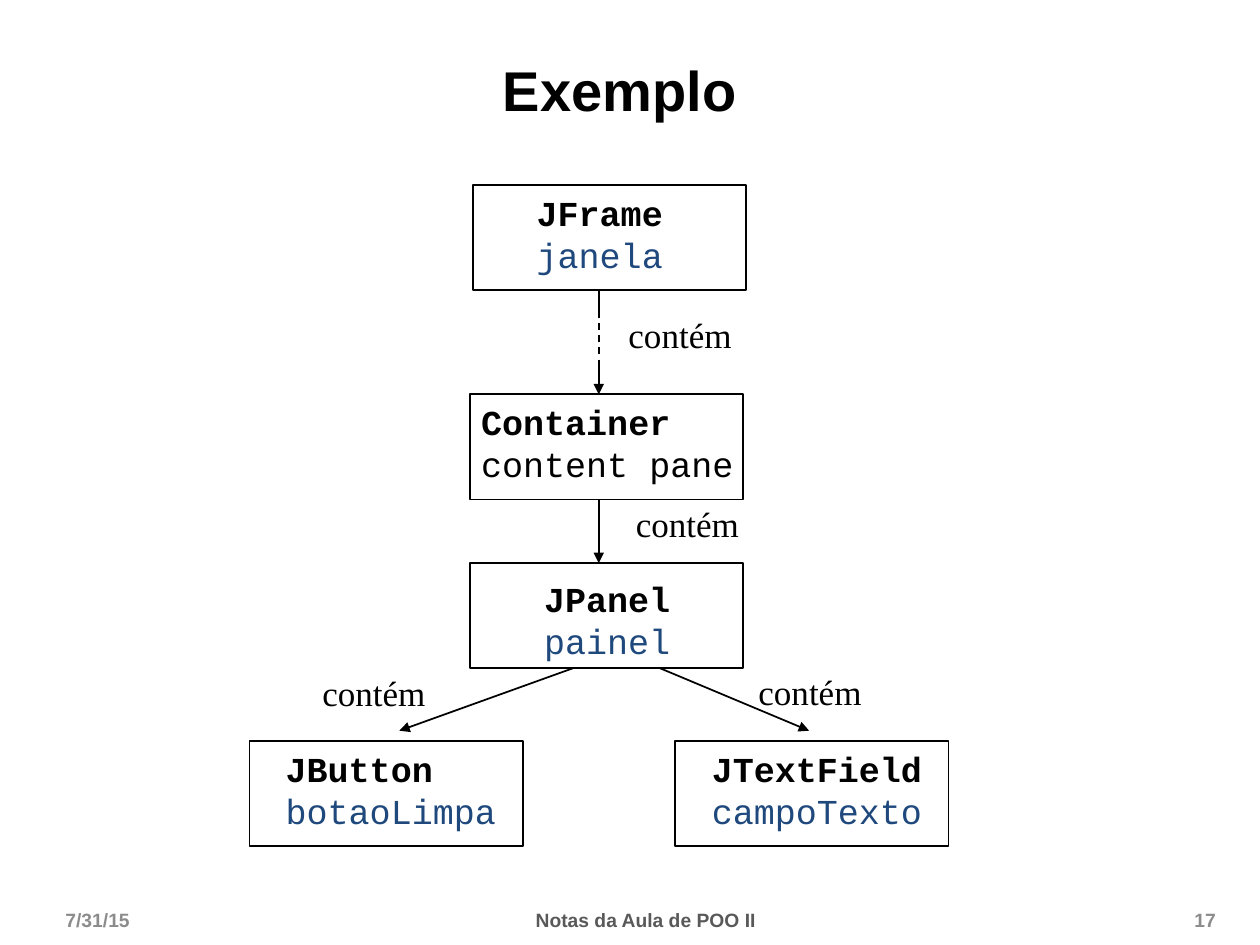
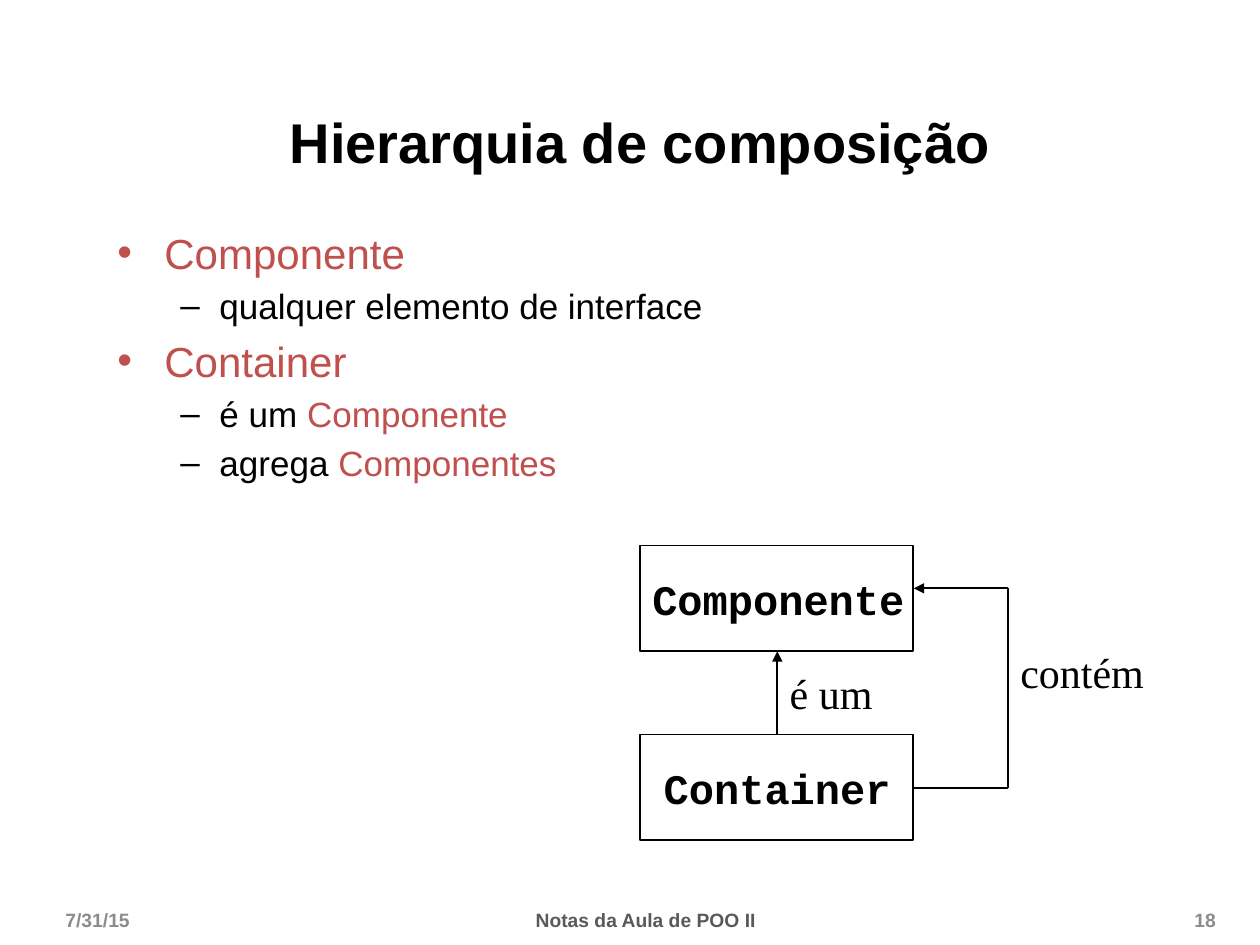
from typing import NamedTuple

from pptx import Presentation
from pptx.dml.color import RGBColor
from pptx.enum.dml import MSO_LINE
from pptx.enum.shapes import MSO_CONNECTOR, MSO_SHAPE
from pptx.enum.text import MSO_ANCHOR, MSO_AUTO_SIZE, PP_ALIGN
from pptx.oxml.ns import qn
from pptx.slide import Slide
from pptx.text.text import TextFrame, _Paragraph
from pptx.util import Cm, Pt
from lxml.etree import SubElement

BLACK = RGBColor(0x00, 0x00, 0x00)
BLUE = RGBColor(0x1F, 0x49, 0x7D)
RED = RGBColor(0xC0, 0x50, 0x4D)
LIGHT_GREY = RGBColor(0x8C, 0x8C, 0x8C)
DARK_GREY = RGBColor(0x59, 0x59, 0x59)

SANS, MONO, SERIF = "Arial", "Courier New", "Times New Roman"
BOX_WIDTH, BOX_HEIGHT = 5.51, 2.12
TITLE_ONLY, TITLE_AND_BODY = 5, 1


class Run(NamedTuple):
    text: str
    size: float
    font: str = SANS
    color: RGBColor = BLACK
    bold: bool = False


class Area(NamedTuple):
    """Left, top, width and height in centimetres."""
    left: float
    top: float
    width: float
    height: float


class ClassBox(NamedTuple):
    left: float
    top: float
    text_area: Area
    lines: list[Run]


class Arrow(NamedTuple):
    start: tuple[float, float]
    end: tuple[float, float]
    pointed: bool = True
    dashed: bool = False


class Label(NamedTuple):
    area: Area
    run: Run


class Bullet(NamedTuple):
    level: int
    runs: list[Run]


class BulletStyle(NamedTuple):
    mark: str
    margin: float
    hanging: float
    space_before: float


BULLET_STYLES = [BulletStyle("•", 0.95, 0.95, 5), BulletStyle("–", 2.06, 0.79, 4)]


def add_run(paragraph: _Paragraph, run: Run) -> None:
    added = paragraph.add_run()
    added.text = run.text
    added.font.size = Pt(run.size)
    added.font.name = run.font
    added.font.bold = run.bold
    added.font.color.rgb = run.color


def paragraph_at(frame: TextFrame, index: int) -> _Paragraph:
    return frame.paragraphs[0] if index == 0 else frame.add_paragraph()


def add_text(slide: Slide, area: Area, lines: list[Run]) -> TextFrame:
    frame = slide.shapes.add_textbox(*map(Cm, area)).text_frame
    for index, line in enumerate(lines):
        add_run(paragraph_at(frame, index), line)
    return frame


def add_fitted_text(slide: Slide, area: Area, lines: list[Run]) -> None:
    frame = add_text(slide, area, lines)
    frame.word_wrap = False
    frame.auto_size = MSO_AUTO_SIZE.SHAPE_TO_FIT_TEXT


def add_class_box(slide: Slide, box: ClassBox) -> None:
    outline = slide.shapes.add_shape(
        MSO_SHAPE.RECTANGLE, Cm(box.left), Cm(box.top), Cm(BOX_WIDTH), Cm(BOX_HEIGHT))
    outline.shadow.inherit = False
    outline.fill.background()
    outline.line.color.rgb = BLACK
    outline.line.width = Pt(1)
    add_fitted_text(slide, box.text_area, box.lines)


def add_arrow(slide: Slide, arrow: Arrow) -> None:
    connector = slide.shapes.add_connector(
        MSO_CONNECTOR.STRAIGHT, *map(Cm, arrow.start + arrow.end))
    connector.line.color.rgb = BLACK
    connector.line.width = Pt(1)
    if arrow.dashed:
        connector.line.dash_style = MSO_LINE.DASH
    properties = connector._element.spPr
    if arrow.pointed:
        SubElement(properties.find(qn("a:ln")), qn("a:tailEnd"), type="triangle")
    SubElement(properties, qn("a:effectLst"))


def add_diagram(slide: Slide, boxes: list[ClassBox], arrows: list[Arrow],
                labels: list[Label]) -> None:
    for box in boxes:
        add_class_box(slide, box)
    for arrow in arrows:
        add_arrow(slide, arrow)
    for label in labels:
        add_fitted_text(slide, label.area, [label.run])


def place(placeholder, area: Area) -> TextFrame:
    """Move a placeholder and return its text frame."""
    placeholder.left, placeholder.top, placeholder.width, placeholder.height = map(Cm, area)
    return placeholder.text_frame


def fill_title(slide: Slide, area: Area, text: str) -> None:
    frame = place(slide.shapes.title, area)
    frame.vertical_anchor = MSO_ANCHOR.MIDDLE
    frame.paragraphs[0].alignment = PP_ALIGN.CENTER
    add_run(frame.paragraphs[0], Run(text, 32, bold=True))


def fill_bullets(slide: Slide, area: Area, bullets: list[Bullet]) -> None:
    frame = place(slide.placeholders[1], area)
    for index, bullet in enumerate(bullets):
        style = BULLET_STYLES[bullet.level]
        paragraph = paragraph_at(frame, index)
        paragraph.level = bullet.level
        properties = paragraph._p.get_or_add_pPr()
        properties.set("marL", str(Cm(style.margin)))
        properties.set("indent", str(-Cm(style.hanging)))
        SubElement(properties, qn("a:buChar"), char=style.mark)
        paragraph.space_before = Pt(style.space_before if index else 0)
        for run in bullet.runs:
            add_run(paragraph, run)


def add_footer(slide: Slide, page: int) -> None:
    parts = [
        (1.07, 5.92, "7/31/15", LIGHT_GREY, PP_ALIGN.LEFT),
        (19.48, 5.28, str(page), LIGHT_GREY, PP_ALIGN.RIGHT),
        (7.62, 10.8, "Notas da Aula de POO II", DARK_GREY, PP_ALIGN.CENTER),
    ]
    for left, width, text, color, alignment in parts:
        frame = add_text(slide, Area(left, 18.03, width, 1.02),
                         [Run(text, 11, color=color, bold=True)])
        frame.word_wrap = True
        frame.vertical_anchor = MSO_ANCHOR.MIDDLE
        frame.paragraphs[0].alignment = alignment


def class_and_object(class_name: str, object_name: str, color: RGBColor = BLUE) -> list[Run]:
    return [Run(class_name, 20, MONO, bold=True), Run(object_name, 20, MONO, color)]


def build_example(slide: Slide) -> None:
    fill_title(slide, Area(1.7, 0.2, 21.59, 3.18), "Exemplo")
    boxes = [
        ClassBox(9.53, 3.73, Area(10.57, 3.73, 3.05, 1.96),
                 class_and_object("JFrame", "janela")),
        ClassBox(9.47, 7.95, Area(9.45, 7.95, 5.59, 1.96),
                 class_and_object("Container", "content pane", BLACK)),
        ClassBox(9.47, 11.35, Area(10.72, 11.51, 3.05, 1.96),
                 class_and_object("JPanel", "painel")),
        ClassBox(5.03, 14.94, Area(5.51, 14.94, 4.75, 1.96),
                 class_and_object("JButton", "botaoLimpa")),
        ClassBox(13.61, 14.94, Area(14.1, 14.94, 4.75, 1.96),
                 class_and_object("JTextField", "campoTexto")),
    ]
    axis = 12.07
    arrows = [
        Arrow((axis, 5.84), (axis, 6.27), pointed=False),
        Arrow((axis, 6.27), (axis, 7.32), pointed=False, dashed=True),
        Arrow((axis, 7.32), (axis, 7.95)),
        Arrow((axis, 10.08), (axis, 11.35)),
        Arrow((11.58, 13.46), (8.05, 14.73)),
        Arrow((13.28, 13.46), (16.31, 14.73)),
    ]
    label_corners = [(12.42, 6.2), (12.57, 10.01), (6.25, 13.41), (15.04, 13.39)]
    labels = [Label(Area(left, top, 2.59, 1.09), Run("contém", 20, SERIF))
              for left, top in label_corners]
    add_diagram(slide, boxes, arrows, labels)


def build_hierarchy(slide: Slide) -> None:
    fill_title(slide, Area(2.11, 1.47, 21.59, 2.74), "Hierarquia de composição")
    fill_bullets(slide, Area(2.11, 4.45, 21.59, 12.57), [
        Bullet(0, [Run("Componente", 24, color=RED)]),
        Bullet(1, [Run("qualquer elemento de interface", 20)]),
        Bullet(0, [Run("Container", 24, color=RED)]),
        Bullet(1, [Run("é um ", 20), Run("Componente", 20, color=RED)]),
        Bullet(1, [Run("agrega ", 20), Run("Componentes", 20, color=RED)]),
    ])
    boxes = [
        ClassBox(12.9, 11, Area(12.9, 11.43, 5.59, 1.27),
                 [Run("Componente", 24, MONO, bold=True)]),
        ClassBox(12.9, 14.81, Area(13.13, 15.24, 5.08, 1.27),
                 [Run("Container", 24, MONO, bold=True)]),
    ]
    arrows = [
        Arrow((15.67, 14.81), (15.67, 13.13)),
        Arrow((18.42, 15.88), (20.32, 15.88), pointed=False),
        Arrow((20.32, 15.88), (20.32, 11.86), pointed=False),
        Arrow((20.32, 11.86), (18.42, 11.86)),
    ]
    labels = [
        Label(Area(15.67, 13.34, 2.18, 1.27), Run("é um", 24, SERIF)),
        Label(Area(20.32, 12.9, 3, 1.27), Run("contém", 24, SERIF)),
    ]
    add_diagram(slide, boxes, arrows, labels)


def main() -> None:
    deck = Presentation()
    deck.slide_width, deck.slide_height = Cm(25.4), Cm(19.05)
    pages = [(TITLE_ONLY, build_example), (TITLE_AND_BODY, build_hierarchy)]
    for number, (layout, build) in enumerate(pages, start=17):
        slide = deck.slides.add_slide(deck.slide_layouts[layout])
        build(slide)
        add_footer(slide, number)
    deck.save("out.pptx")


if __name__ == "__main__":
    main()
